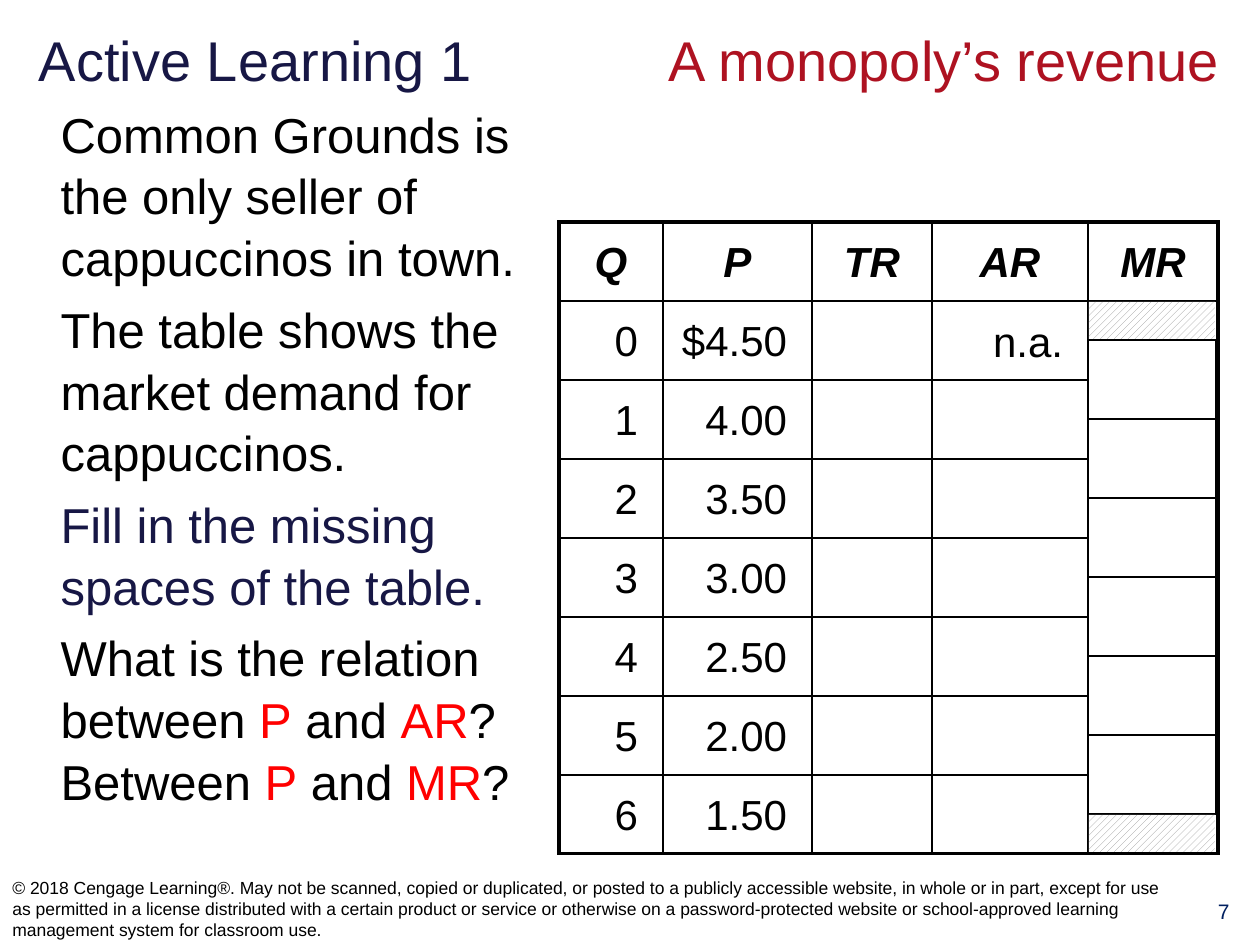
from dataclasses import dataclass

from lxml import etree
from pptx import Presentation, util as u
from pptx.dml.color import RGBColor
from pptx.enum import dml, shapes, text
from pptx.oxml.ns import qn

PX = 914400 / 126


@dataclass(frozen=True)
class Theme:
    font: str = "Arial"
    ink: str = "000000"
    navy: str = "171745"
    crimson: str = "AE1221"
    red: str = "FF0000"
    page: str = "002060"
    white: str = "FFFFFF"
    hatch: str = "969696"
    title: int = 32
    body: int = 28
    cell: int = 24
    num: int = 12
    legal: int = 10
    thin: float = 1
    thick: float = 2.25


T = Theme()
LEFT, MID, RIGHT = text.PP_ALIGN.LEFT, text.PP_ALIGN.CENTER, text.PP_ALIGN.RIGHT
ROW = 79
COLS = [104, 149, 120, 156, 130]
HEADS = ["Q", "P", "TR", "AR", "MR"]
PRICES = ["$4.50", "4.00", "3.50", "3.00", "2.50", "2.00", "1.50"]
LEGAL = (
    "© 2018 Cengage Learning®. May not be scanned, copied or duplicated, or posted "
    "to a publicly accessible website, in whole or in part, except for use as "
    "permitted in a license distributed with a certain product or service or "
    "otherwise on a password-protected website or school-approved learning "
    "management system for classroom use."
)
POINTS = [
    [("Common Grounds is the only seller of cappuccinos in town.", T.ink)],
    [("The table shows the market demand for cappuccinos.", T.ink)],
    [("Fill in the missing spaces of the table.", T.navy)],
    [("What is the relation between ", T.ink), ("P", T.red), (" and ", T.ink),
     ("AR", T.red), ("? Between ", T.ink), ("P", T.red), (" and ", T.ink),
     ("MR", T.red), ("?", T.ink)],
]


def px(n):
    return u.Emu(round(n * PX))


def place(shape, box):
    shape.left, shape.top, shape.width, shape.height = map(px, box)


def write(para, runs, size, align=LEFT, bold=False):
    """Add (words, colour) runs to a paragraph."""
    para.alignment = align
    for words, color in runs:
        run = para.add_run()
        run.text = words
        font = run.font
        font.name, font.size = T.font, u.Pt(size)
        font.bold = font.italic = bold
        font.color.rgb = RGBColor.from_string(color)


def label(slide, box, words, size, color=T.ink, align=LEFT,
          anchor=text.MSO_ANCHOR.TOP, inset=13):
    frame = slide.shapes.add_textbox(*map(px, box)).text_frame
    frame.word_wrap = True
    frame.vertical_anchor = anchor
    frame.margin_right = px(inset)
    write(frame.paragraphs[0], [(words, color)], size, align)


def title(slide, box):
    shape = slide.shapes.title
    place(shape, box)
    frame = shape.text_frame
    frame.auto_size = text.MSO_AUTO_SIZE.NONE
    frame.vertical_anchor = text.MSO_ANCHOR.MIDDLE
    frame.margin_left, frame.margin_right = px(18), 0
    para = frame.paragraphs[0]
    # Two tab stops carry the topic to the right
    tabs = etree.SubElement(para._p.get_or_add_pPr(), qn("a:tabLst"))
    for stop in (500, 630):
        etree.SubElement(tabs, qn("a:tab"), pos=str(px(stop)), algn="l")
    write(para, [("Active Learning 1\t\t", T.navy),
                 ("A monopoly’s revenue", T.crimson)], T.title)


def body(slide, box):
    shape = slide.placeholders[1]
    place(shape, box)
    frame = shape.text_frame
    frame.auto_size = text.MSO_AUTO_SIZE.NONE
    for i, runs in enumerate(POINTS):
        para = frame.add_paragraph() if i else frame.paragraphs[0]
        para.line_spacing = 1.05
        para.space_before = u.Pt(0.2 * T.body if i else 0)
        props = para._p.get_or_add_pPr()
        props.set("marL", "0")
        props.set("indent", "0")
        etree.SubElement(props, qn("a:buNone"))
        write(para, runs, T.body)


def edge(cell, widths):
    """Draw the left, right, top and bottom borders of a cell."""
    props = cell._tc.get_or_add_tcPr()
    for i, (side, width) in enumerate(zip("LRTB", widths)):
        line = etree.Element(qn(f"a:ln{side}"), w=str(u.Pt(width)))
        fill = etree.SubElement(line, qn("a:solidFill"))
        etree.SubElement(fill, qn("a:srgbClr"), val=T.ink)
        props.insert(i, line)


def grid(slide, box):
    rows = [HEADS] + [[str(q), p, "", "", ""] for q, p in enumerate(PRICES)]
    table = slide.shapes.add_table(len(rows), len(COLS), *map(px, box)).table
    table.first_row = table.horz_banding = False
    for col, wide in zip(table.columns, COLS):
        col.width = px(wide)
    for r, row in enumerate(rows):
        table.rows[r].height = px(ROW)
        for c, words in enumerate(row):
            cell = table.cell(r, c)
            cell.fill.background()
            cell.vertical_anchor = text.MSO_ANCHOR.MIDDLE
            outer = (c == 0, c == len(COLS) - 1, r == 0, r == len(rows) - 1)
            edge(cell, [T.thick if out else T.thin for out in outer])
            if not words:
                continue
            head = r == 0
            if not head:
                cell.margin_right = px(25)
            para = cell.text_frame.paragraphs[0]
            para.line_spacing = 1.05
            write(para, [(words, T.ink)], T.cell, MID if head else RIGHT, head)


def block(parent, box):
    shape = parent.add_shape(shapes.MSO_SHAPE.RECTANGLE, *map(px, box))
    shape.shadow.inherit = False
    return shape


def steps(slide, box):
    """Cover the last column with cells set half a row lower."""
    x, y, wide, high = box
    half = ROW // 2
    group = slide.shapes.add_group_shape()
    for i in reversed(range(6)):
        shape = block(group.shapes, (x, y + half + i * ROW, wide, ROW))
        shape.fill.solid()
        shape.fill.fore_color.rgb = RGBColor.from_string(T.white)
        shape.line.color.rgb = RGBColor.from_string(T.ink)
        shape.line.width = u.Pt(T.thin)
    # Hatched ends
    for top in (y + 1, y + high - half):
        shape = block(slide.shapes, (x + 1, top, wide - 2, half - 2))
        shape.fill.patterned()
        shape.fill.pattern = dml.MSO_PATTERN.WIDE_UPWARD_DIAGONAL
        shape.fill.fore_color.rgb = RGBColor.from_string(T.hatch)
        shape.fill.back_color.rgb = RGBColor.from_string(T.white)
        shape.line.fill.background()


def main():
    deck = Presentation()
    deck.slide_width, deck.slide_height = px(1260), px(945)
    slide = deck.slides.add_slide(deck.slide_layouts[1])
    title(slide, (21, 14, 1218, 91))
    body(slide, (48, 95, 511, 793))
    # Page number and rights line
    label(slide, (1188, 892, 72, 52), "7", T.num, T.page, MID)
    label(slide, (0, 872, 1186, 73), LEGAL, T.legal,
          anchor=text.MSO_ANCHOR.MIDDLE)
    # Table with its staggered last column
    x, y = 559, 222
    grid(slide, (x, y, sum(COLS), 8 * ROW))
    steps(slide, (x + sum(COLS[:4]), y + ROW, 128, 7 * ROW))
    label(slide, (x + sum(COLS[:3]), y + ROW, COLS[3], ROW), "n.a.", T.cell,
          align=RIGHT, anchor=text.MSO_ANCHOR.MIDDLE, inset=25)
    deck.save("out.pptx")


if __name__ == "__main__":
    main()
